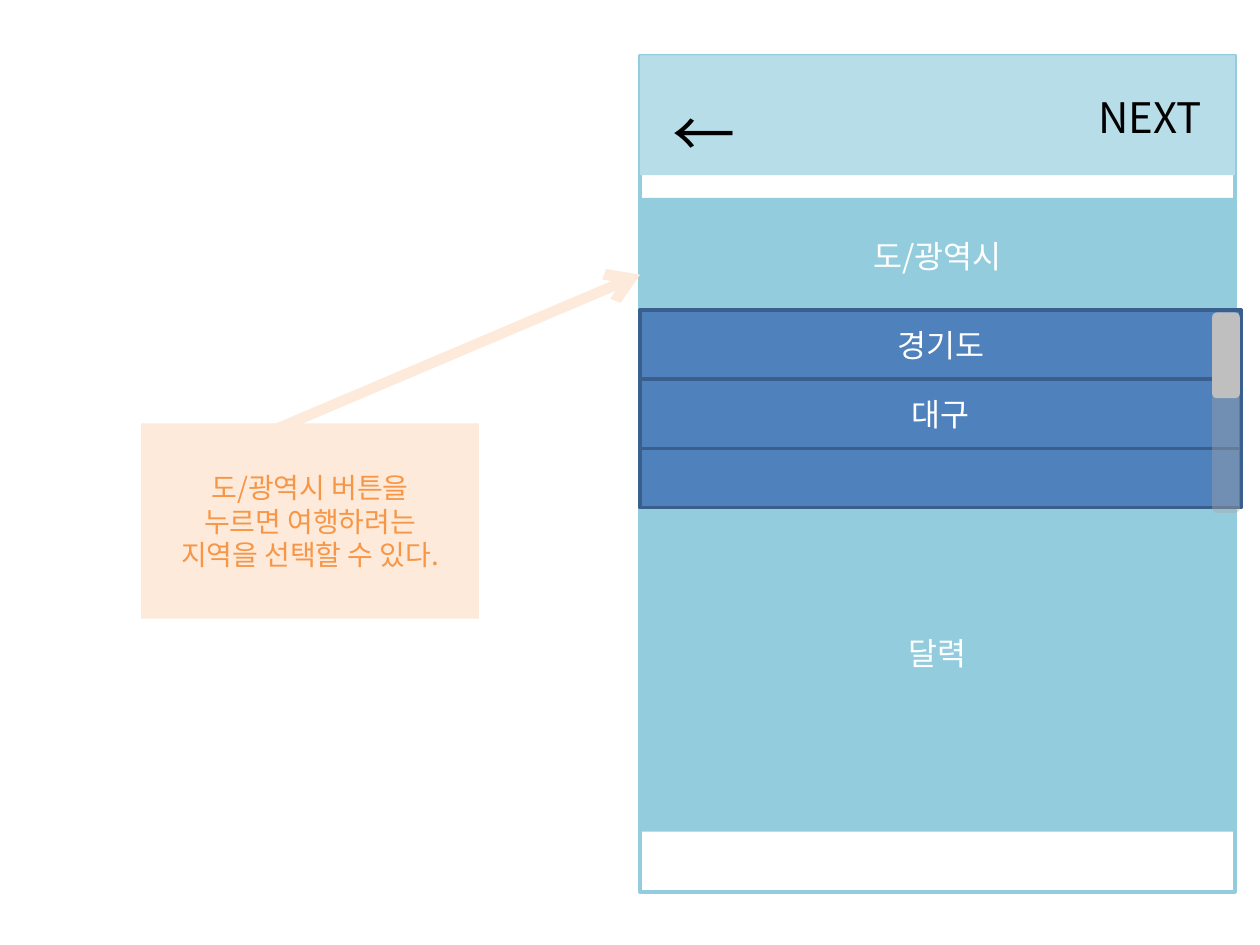
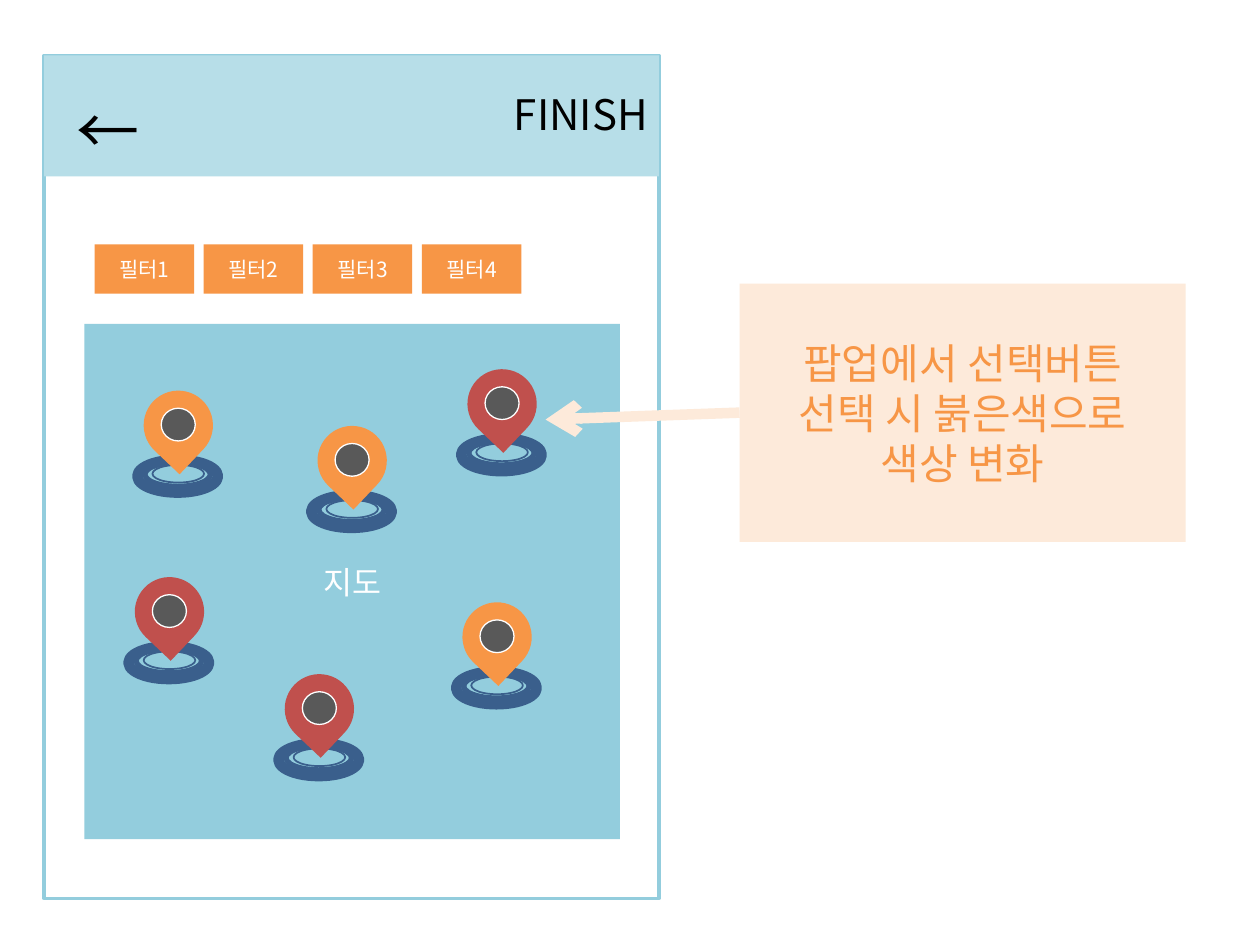
"""Build two annotated wireframes of a travel planning app."""
from lxml import etree
from pptx import Presentation
from pptx.dml.color import RGBColor
from pptx.enum.shapes import MSO_CONNECTOR, MSO_SHAPE
from pptx.enum.text import MSO_ANCHOR, PP_ALIGN
from pptx.oxml.ns import qn
from pptx.util import Inches, Pt

RECTANGLE = MSO_SHAPE.RECTANGLE
OVAL = MSO_SHAPE.OVAL
TEARDROP = MSO_SHAPE.TEAR
ROUNDED = MSO_SHAPE.FLOWCHART_ALTERNATE_PROCESS
STRAIGHT = MSO_CONNECTOR.STRAIGHT
LEFT, CENTER = PP_ALIGN.LEFT, PP_ALIGN.CENTER
TOP, MIDDLE = MSO_ANCHOR.TOP, MSO_ANCHOR.MIDDLE
LEFT_SIDE = 1

BLACK = RGBColor(0x00, 0x00, 0x00)
WHITE = RGBColor(0xFF, 0xFF, 0xFF)
SKY = RGBColor(0x93, 0xCD, 0xDD)
PALE_SKY = RGBColor(0xB7, 0xDE, 0xE8)
BLUE = RGBColor(0x4F, 0x81, 0xBD)
NAVY = RGBColor(0x3A, 0x5F, 0x8C)
ORANGE = RGBColor(0xF7, 0x96, 0x46)
PEACH = RGBColor(0xFD, 0xEA, 0xDA)
RED = RGBColor(0xC0, 0x50, 0x4D)
CHARCOAL = RGBColor(0x59, 0x59, 0x59)
GRAY = RGBColor(0xA6, 0xA6, 0xA6)
SILVER = RGBColor(0xBF, 0xBF, 0xBF)

FONT = "Noto Sans CJK KR"
COLUMNS, ROWS = 100, 75
WIDTH, HEIGHT = Inches(10), Inches(7.5)


def write(shape, text, size=18, color=WHITE, align=CENTER, anchor=MIDDLE):
    frame = shape.text_frame
    frame.word_wrap = True
    frame.vertical_anchor = anchor
    for index, line in enumerate(text.split("\n")):
        paragraph = frame.add_paragraph() if index else frame.paragraphs[0]
        paragraph.alignment = align
        run = paragraph.add_run()
        run.text = line
        run.font.name = FONT
        run.font.size = Pt(size)
        run.font.color.rgb = color
        properties = run.font.color and run._r.get_or_add_rPr()
        etree.SubElement(properties, qn("a:ea"), typeface=FONT)


class Wireframe:
    def __init__(self, presentation):
        self.presentation = presentation
        self.slide = None

    def new_slide(self):
        layout = self.presentation.slide_layouts[6]
        self.slide = self.presentation.slides.add_slide(layout)

    def place(self, *lengths):
        units = (WIDTH / COLUMNS, HEIGHT / ROWS)
        return [round(length * units[i % 2]) for i, length in enumerate(lengths)]

    def box(self, at, fill=None, line=None, weight=2, kind=RECTANGLE,
            parent=None, opacity=None):
        shapes = (parent or self.slide).shapes
        shape = shapes.add_shape(kind, *self.place(*at))
        shape.shadow.inherit = False
        if fill is None:
            shape.fill.background()
        else:
            shape.fill.solid()
            shape.fill.fore_color.rgb = fill
        if opacity is not None:
            color = shape.element.spPr.find(qn("a:solidFill"))[0]
            etree.SubElement(color, qn("a:alpha"), val=str(opacity * 1000))
        if line is None:
            shape.line.fill.background()
        else:
            shape.line.color.rgb = line
            shape.line.width = Pt(weight)
        return shape

    def label(self, at, text, size):
        shape = self.slide.shapes.add_textbox(*self.place(*at))
        shape.text_frame.margin_right = 0
        write(shape, text, size=size, color=BLACK, align=LEFT, anchor=TOP)

    def phone(self, at, header_height):
        left, top, width, _ = at
        self.box(at, line=SKY)
        self.box((left, top, width, header_height), fill=PALE_SKY)

    def navigation(self, back, action, text):
        self.label((*back, 7.9, 7.1), "←", 36)
        self.label((*action, 12.6, 5), text, 24)

    def callout(self, at, text, size):
        shape = self.box(at, fill=PEACH)
        write(shape, text, size=size, color=ORANGE)
        return shape

    def arrow(self, start, end):
        connector = self.slide.shapes.add_connector(
            STRAIGHT, *self.place(*start, *end))
        connector.line.color.rgb = PEACH
        connector.line.width = Pt(6)
        line = connector.line._get_or_add_ln()
        etree.SubElement(line, qn("a:tailEnd"), type="arrow")
        etree.SubElement(connector.element.spPr, qn("a:effectLst"))
        return connector

    def pin(self, left, top, color):
        group = self.slide.shapes.add_group_shape()
        rings = [(0, 0, 6.4, 2.6, 6), (1.2, 0.4, 4.1, 1.4, 1),
                 (0.6, 0.2, 5.2, 1.9, 3)]
        for x, y, width, height, weight in rings:
            self.box((left + x, top + y, width, height), line=NAVY,
                     weight=weight, kind=OVAL, parent=group)
        marker = self.box((left + 0.5, top - 5.5, 5.5, 5.5), fill=color,
                          kind=TEARDROP, parent=group)
        marker.rotation = 133.5
        self.box((left + 1.9, top - 4.1, 2.7, 2.6), fill=CHARCOAL, line=WHITE,
                 weight=0.75, kind=OVAL, parent=group)


def region_slide(wireframe):
    wireframe.new_slide()
    left, width, list_width = 50.8, 47.2, 47.7
    wireframe.phone((left, 4.4, width, 66.4), 9.5)
    for top, height, text in [(15.7, 9.3, "도/광역시"), (37.6, 28.4, "달력")]:
        write(wireframe.box((left, top, width, height), fill=SKY), text)

    list_top, row_height = 24.6, 5.5
    wireframe.box((left, list_top, list_width, 15.7), fill=BLUE, line=NAVY)
    for index, region in enumerate(["경기도", "대구"]):
        top = list_top + index * row_height
        row = wireframe.box((left, top, list_width, row_height),
                            fill=BLUE, line=NAVY)
        write(row, region)
    wireframe.box((96.2, 26.9, 2.2, 13.8), fill=GRAY, kind=ROUNDED, opacity=40)
    wireframe.box((96.2, 24.8, 2.2, 6.8), fill=SILVER, kind=ROUNDED)

    wireframe.navigation((52.4, 7), (86.2, 6.8), "NEXT")
    wireframe.callout((11.2, 33.6, 26.8, 15.5),
                      "도/광역시 버튼을\n누르면 여행하려는\n지역을 선택할 수 있다.", 16)
    wireframe.arrow((21.8, 34.1), (left, 21.8))


def map_slide(wireframe):
    wireframe.new_slide()
    wireframe.phone((3.5, 4.4, 48.8, 66.9), 9.6)
    write(wireframe.box((6.7, 25.7, 42.5, 40.9), fill=SKY), "지도")
    for index in range(4):
        button = wireframe.box((7.5 + index * 8.66, 19.4, 7.9, 3.9), fill=ORANGE)
        write(button, f"필터{index + 1}", size=12)

    pins = [(10.9, 36.5, ORANGE), (22.1, 59, RED), (24.7, 39.3, ORANGE),
            (10.2, 51.3, RED), (36.2, 53.3, ORANGE), (36.6, 34.8, RED)]
    for left, top, color in pins:
        wireframe.pin(left, top, color)

    wireframe.navigation((5.1, 6.8), (39.8, 6.5), "FINISH")
    callout = wireframe.callout((58.7, 22.5, 35.4, 20.5),
                                "팝업에서 선택버튼\n선택 시 붉은색으로\n색상 변화", 24)
    arrow = wireframe.arrow((58.7, 32.75), (43.3, 33.3))
    arrow.begin_connect(callout, LEFT_SIDE)


def main():
    presentation = Presentation()
    presentation.slide_width, presentation.slide_height = WIDTH, HEIGHT
    wireframe = Wireframe(presentation)
    region_slide(wireframe)
    map_slide(wireframe)
    presentation.save("out.pptx")


if __name__ == "__main__":
    main()
